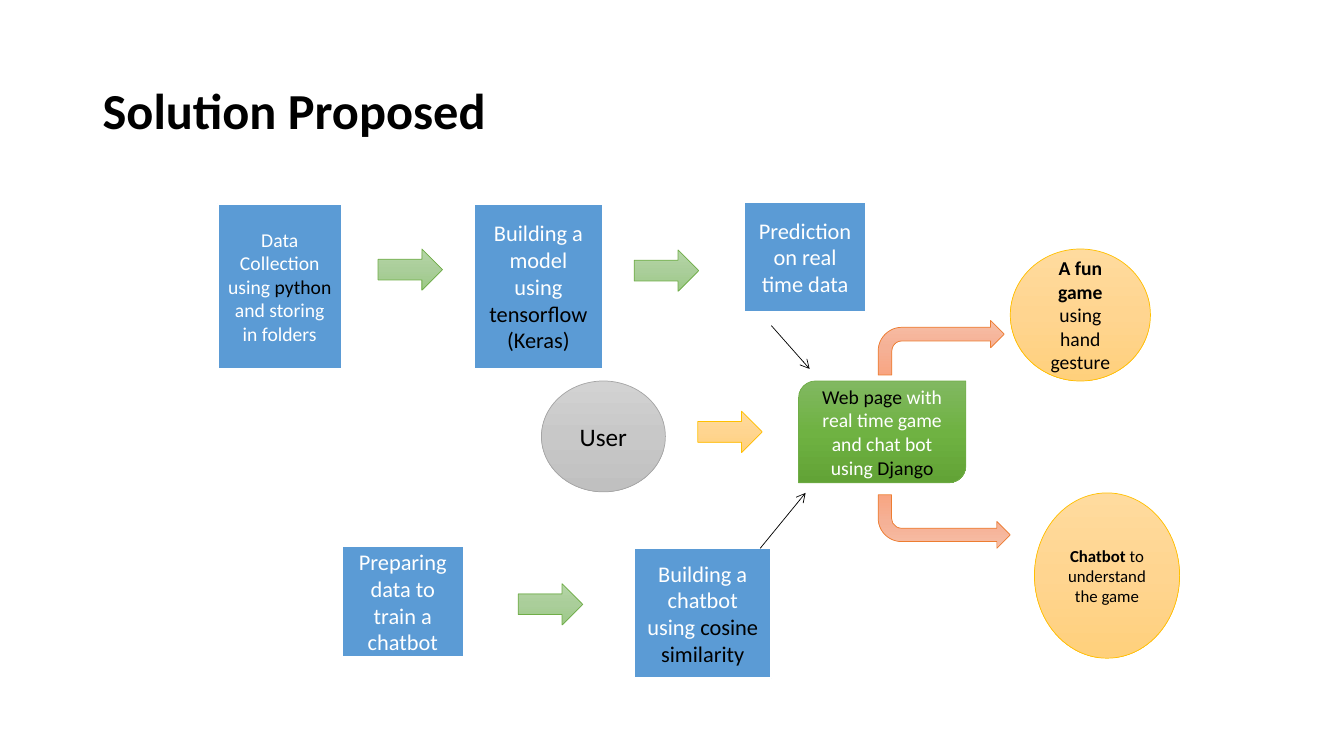
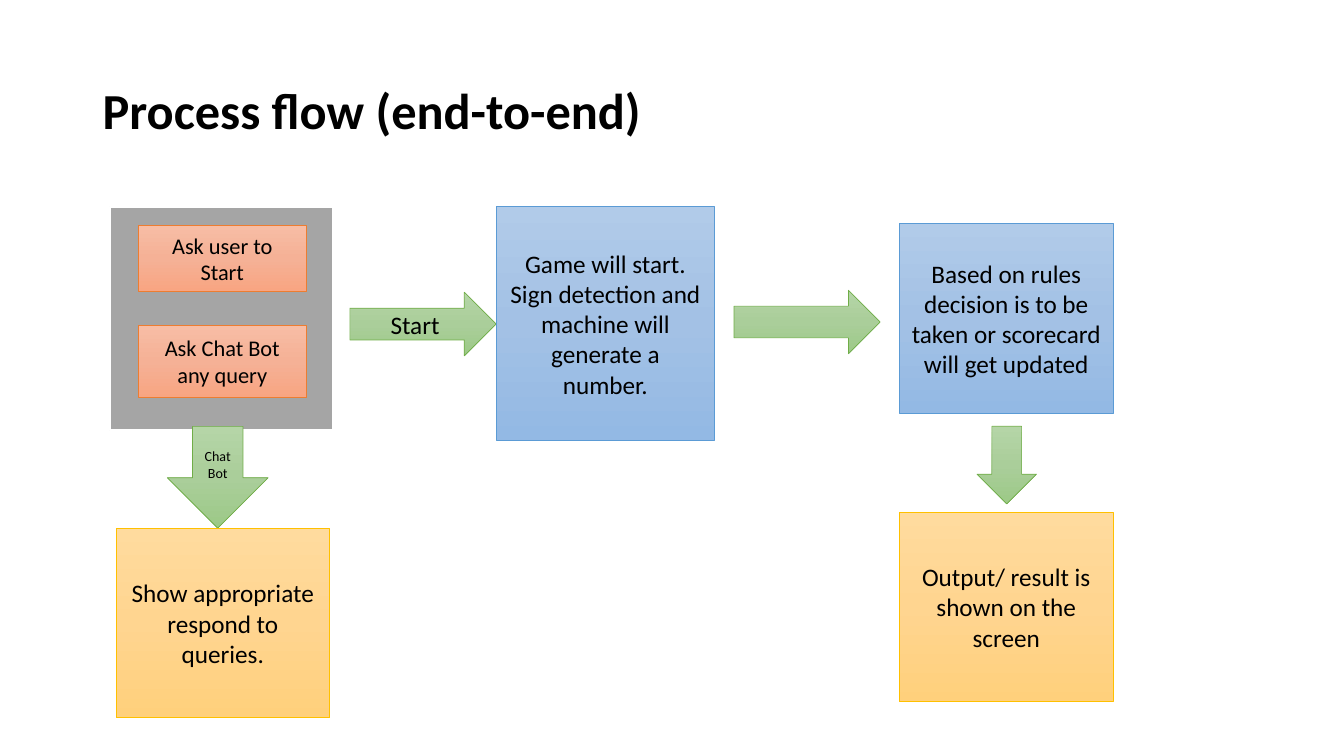
from copy import deepcopy

from pptx import Presentation
from pptx.dml.color import RGBColor
from pptx.enum.shapes import MSO_CONNECTOR, MSO_SHAPE
from pptx.enum.text import MSO_ANCHOR, PP_ALIGN
from pptx.oxml.ns import qn
from pptx.oxml.xmlchemy import OxmlElement
from pptx.util import Inches, Pt

FONT = "Calibri"
BLACK = RGBColor(0x00, 0x00, 0x00)
WHITE = RGBColor(0xFF, 0xFF, 0xFF)
BLUE = RGBColor(0x5B, 0x9B, 0xD5)
GRAY = RGBColor(0xA5, 0xA5, 0xA5)
GOLD = RGBColor(0xFF, 0xC0, 0x00)
GREEN = RGBColor(0x70, 0xAD, 0x47)
ORANGE = RGBColor(0xED, 0x7D, 0x31)


def shades(*codes):
    return [RGBColor.from_string(code) for code in codes]


# style: fill colours from top to bottom, line colour, line width, text colour
STYLES = {
    "step": ([BLUE], WHITE, 1.5, WHITE),
    "panel": ([GRAY], WHITE, 1.5, WHITE),
    "web": (shades("81B861", "6FB242", "62A336"), GREEN, 0.5, WHITE),
    "gray": (shades("D2D2D2", "C8C8C8", "C0C0C0"), GRAY, 0.5, BLACK),
    "gold": (shades("FFDB9E", "FFD590", "FFD07C"), GOLD, 0.5, BLACK),
    "green": (shades("B5D5A7", "AACE9A", "9CC987"), GREEN, 0.5, BLACK),
    "orange": (shades("F7BDA5", "F5B196", "F8A582"), ORANGE, 0.5, BLACK),
    "blue": (shades("B1CBE9", "A3C1E5", "93B9E4"), BLUE, 0.5, BLACK),
}

RECT, OVAL = MSO_SHAPE.RECTANGLE, MSO_SHAPE.OVAL
RIGHT, DOWN, BENT = MSO_SHAPE.RIGHT_ARROW, MSO_SHAPE.DOWN_ARROW, MSO_SHAPE.BENT_ARROW
SMALL_ARROW = (0.64, 0.41)
LONG_ARROW = (1.45, 0.63)
SMALL_STEP = (1.21, 1.1)
LARGE_BOX = (2.12, 1.88)

# shape: kind, style, position, size, then text size and text with *emphasis*
SLIDES = [
    {
        "title": "Solution Proposed",
        "shapes": [
            (RECT, "step", (4.7, 2.02), (1.28, 1.64), 16, "Building a model using *tensorflow (Keras)*"),
            (RECT, "step", (2.16, 2.02), (1.23, 1.64), 14,
             "Data Collection using *python *and storing in folders"),
            (RECT, "step", (3.39, 5.42), SMALL_STEP, 16, "Preparing data to train a chatbot"),
            (RECT, "step", (7.38, 2), SMALL_STEP, 16, "Prediction on real time data"),
            (RECT, "step", (6.29, 5.44), (1.36, 1.29), 16, "Building a chatbot using *cosine similarity*"),
            (OVAL, "gray", (5.37, 3.78), (1.23, 1.1), 18, "User"),
            (OVAL, "gold", (10.02, 2.47), (1.39, 1.31), 14, "*A fun game *using hand gesture"),
            (MSO_SHAPE.ROUND_2_DIAG_RECTANGLE, "web", (7.92, 3.78), (1.66, 1.01), 14,
             "*Web page *with real time game and chat bot using *Django*"),
            (OVAL, "gold", (10.26, 4.89), (1.44, 1.64), 12, "*Chatbot* to understand the game"),
            (RIGHT, "green", (5.14, 5.79), SMALL_ARROW),
            (RIGHT, "green", (6.29, 2.48), SMALL_ARROW),
            (RIGHT, "green", (3.75, 2.47), SMALL_ARROW),
            (RIGHT, "gold", (6.92, 4.08), SMALL_ARROW),
            (BENT, "orange", (8.71, 3.18), (1.25, 0.54)),
        ],
        "flipped": [(BENT, "orange", (8.71, 4.91), (1.31, 0.53))],
        "lines": [(7.65, 3.23, 8.03, 3.66), (7.54, 5.44, 7.99, 4.89)],
    },
    {
        "title": "Process flow (end-to-end)",
        "shapes": [
            (RECT, "panel", (1.09, 2.05), (2.21, 2.22)),
            (RECT, "orange", (1.37, 2.24), (1.67, 0.65), 16, "Ask user to Start"),
            (RECT, "orange", (1.37, 3.23), (1.67, 0.71), 16, "Ask Chat Bot any query"),
            (RIGHT, "green", (3.47, 2.9), LONG_ARROW, 18, "Start"),
            (DOWN, "green", (1.66, 4.23), (1, 1.01), 10, "Chat Bot"),
            (RECT, "blue", (4.92, 2.05), (2.17, 2.32), 18,
             "Game will start.\nSign detection and machine will generate a number."),
            (RECT, "gold", (1.15, 5.24), LARGE_BOX, 18, "Show appropriate respond to queries."),
            (RIGHT, "green", (7.28, 2.88), LONG_ARROW),
            (RECT, "blue", (8.92, 2.22), LARGE_BOX, 18,
             "Based on rules decision is to be taken or scorecard will get updated"),
            (DOWN, "green", (9.69, 4.23), (0.59, 0.77)),
            (RECT, "gold", (8.92, 5.08), LARGE_BOX, 18, "Output/ result is shown on the screen"),
        ],
        "flipped": [],
        "lines": [],
    },
]


def add_title(slide, text):
    box = slide.shapes.add_textbox(Inches(0.92), Inches(0.4), Inches(11.5), Inches(1.45))
    box.text_frame.word_wrap = True
    box.text_frame.vertical_anchor = MSO_ANCHOR.MIDDLE
    paragraph = box.text_frame.paragraphs[0]
    paragraph.text = text
    paragraph.line_spacing = 0.9
    paragraph.font.name = FONT
    paragraph.font.size = Pt(36)
    paragraph.font.bold = True
    paragraph.font.color.rgb = BLACK


def paint(shape, colors):
    fill = shape.fill
    if len(colors) == 1:
        fill.solid()
        fill.fore_color.rgb = colors[0]
        return
    fill.gradient()
    fill.gradient_angle = 270
    stop_list = shape._element.spPr.find(".//" + qn("a:gsLst"))
    stop_list.insert(1, deepcopy(stop_list[0]))
    for index, (stop, color) in enumerate(zip(fill.gradient_stops, colors)):
        stop.position = index / 2
        stop.color.rgb = color


def write_text(shape, size, text, color):
    frame = shape.text_frame
    frame.word_wrap = True
    frame.vertical_anchor = MSO_ANCHOR.MIDDLE
    for number, line in enumerate(text.split("\n")):
        paragraph = frame.add_paragraph() if number else frame.paragraphs[0]
        paragraph.alignment = PP_ALIGN.CENTER
        paragraph.font.name = FONT
        paragraph.font.size = Pt(size)
        for index, piece in enumerate(line.split("*")):
            if piece:
                emphasised = index % 2 == 1
                run = paragraph.add_run()
                run.text = piece
                run.font.color.rgb = BLACK if emphasised else color
                run.font.bold = emphasised and color == BLACK


def add_box(slide, kind, style, position, extent, size=None, text=None):
    colors, line_color, line_width, text_color = STYLES[style]
    shape = slide.shapes.add_shape(kind, *map(Inches, position + extent))
    shape.shadow.inherit = False
    paint(shape, colors)
    shape.line.color.rgb = line_color
    shape.line.width = Pt(line_width)
    if text:
        write_text(shape, size, text, text_color)
    return shape


def add_arrow_line(slide, ends):
    connector = slide.shapes.add_connector(MSO_CONNECTOR.STRAIGHT, *map(Inches, ends))
    connector.line.color.rgb = BLACK
    connector.line.width = Pt(0.5)
    head = OxmlElement("a:tailEnd")
    head.set("type", "arrow")
    connector.line._get_or_add_ln().append(head)
    connector._element.spPr.append(OxmlElement("a:effectLst"))


def main():
    presentation = Presentation()
    presentation.slide_width = Inches(13.33)
    presentation.slide_height = Inches(7.5)
    for content in SLIDES:
        slide = presentation.slides.add_slide(presentation.slide_layouts[6])
        add_title(slide, content["title"])
        for item in content["shapes"]:
            add_box(slide, *item)
        for item in content["flipped"]:
            shape = add_box(slide, *item)
            shape._element.spPr.find(qn("a:xfrm")).set("flipV", "1")
        for ends in content["lines"]:
            add_arrow_line(slide, ends)
    presentation.save("out.pptx")


if __name__ == "__main__":
    main()
